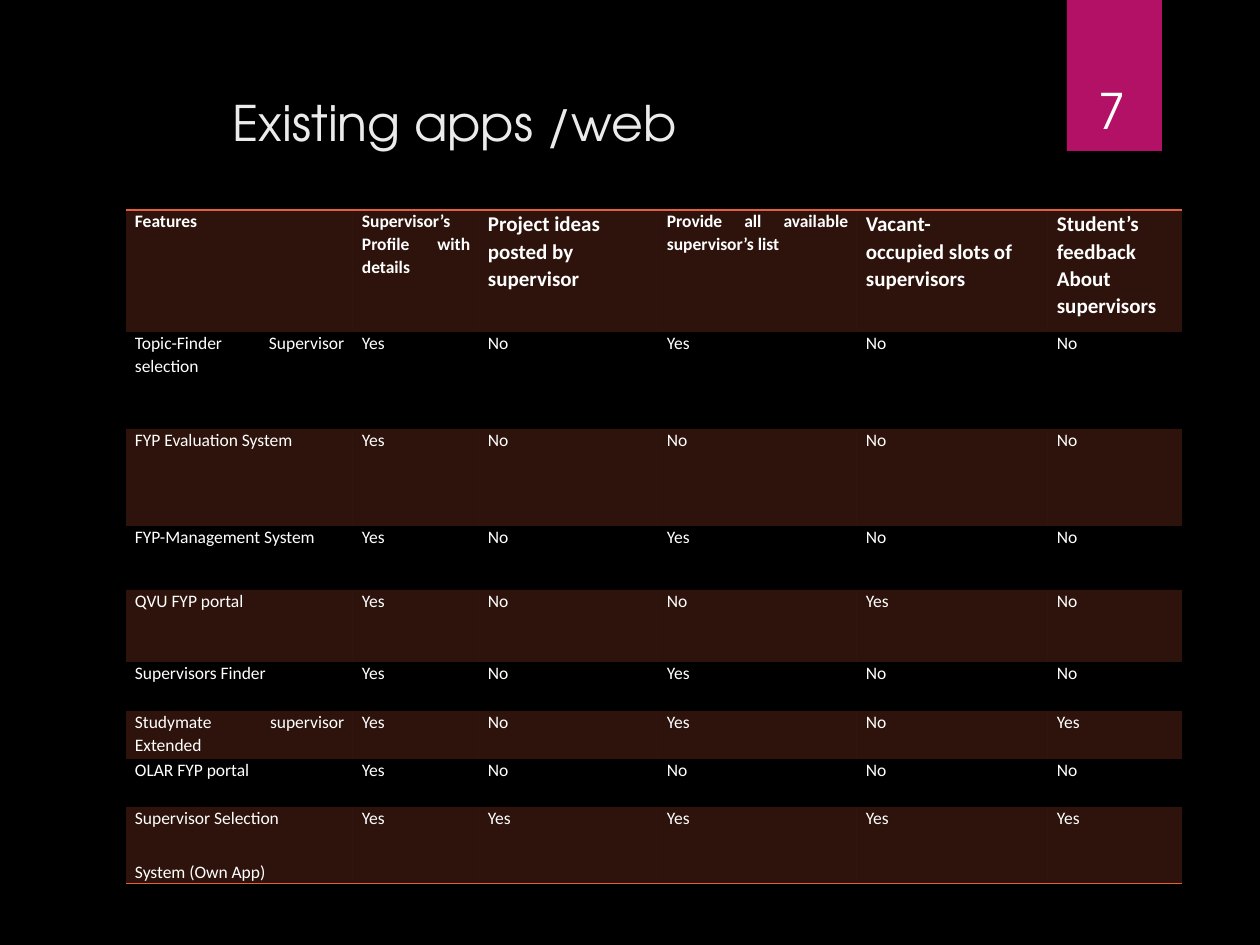
from lxml import etree
from pptx import Presentation
from pptx.dml.color import RGBColor
from pptx.enum.shapes import MSO_SHAPE
from pptx.enum.text import MSO_ANCHOR, PP_ALIGN
from pptx.oxml.ns import qn
from pptx.util import Pt

LEFT, CENTER, JUSTIFY = PP_ALIGN.LEFT, PP_ALIGN.CENTER, PP_ALIGN.JUSTIFY
TOP, BOTTOM = MSO_ANCHOR.TOP, MSO_ANCHOR.BOTTOM
RECTANGLE = MSO_SHAPE.RECTANGLE

BLACK = RGBColor(0x00, 0x00, 0x00)
WHITE = RGBColor(0xFF, 0xFF, 0xFF)
PALE = RGBColor(0xEB, 0xEB, 0xEB)
MAGENTA = RGBColor(0xB3, 0x11, 0x66)
ORANGE = RGBColor(0xE4, 0x5F, 0x3C)

HEADING_FONT = "TeX Gyre Adventor"
BODY_FONT = "Calibri"
NO_GRID_STYLE = "{2D5ABB26-0587-4C30-8999-92F81FD0307C}"
EMU_PER_PX = 914400 / 126

TITLE = "Existing apps /web"
PAGE_NUMBER = "7"
FEATURES = [
    ("Features", "small"),
    ("Supervisor’s Profile with details", "small"),
    ("Project ideas posted by supervisor", "large"),
    ("Provide all available supervisor’s list", "small"),
    ("Vacant-\noccupied slots of supervisors", "large"),
    ("Student’s feedback\nAbout supervisors", "large"),
]
APPS = [
    ("Topic-Finder Supervisor selection", "Yes No Yes No No"),
    ("FYP Evaluation System", "Yes No No No No"),
    ("FYP-Management System", "Yes No Yes No No"),
    ("QVU FYP portal", "Yes No No Yes No"),
    ("Supervisors Finder", "Yes No Yes No No"),
    ("Studymate supervisor Extended", "Yes No Yes No Yes"),
    ("OLAR FYP portal", "Yes No No No No"),
    ("Supervisor Selection\nSystem (Own App)", "Yes Yes Yes Yes Yes"),
]
COLUMN_WIDTHS = [227, 126, 179, 199, 191, 134]
ROW_HEIGHTS = [122, 97, 97, 64, 72, 49, 48, 48, 74]

SPACED = {"alignment": JUSTIFY, "line_spacing": 1.07,
          "space_before": Pt(6), "space_after": Pt(12)}
TIGHT = {"alignment": LEFT, "line_spacing": 1.07,
         "space_before": Pt(0), "space_after": Pt(0)}
BODY = {"name": BODY_FONT, "size": Pt(10), "bold": False}
HEADER_FORMATS = {
    "small": (SPACED, BODY | {"bold": True}),
    "large": (TIGHT, BODY | {"bold": True, "size": Pt(12)}),
}
HEADING = {"name": HEADING_FONT, "size": Pt(28)}


def px(value):
    return round(value * EMU_PER_PX)


def apply(target, values):
    for key, value in values.items():
        setattr(target, key, value)


def write(frame, text, paragraph_format, font_format, color):
    frame.text = text
    for paragraph in frame.paragraphs:
        apply(paragraph, paragraph_format)
        for run in paragraph.runs:
            apply(run.font, font_format)
            run.font.color.rgb = color


def tint(cell):
    cell.fill.solid()
    cell.fill.fore_color.rgb = ORANGE
    color = cell.fill._xPr.find(qn("a:solidFill"))[0]
    etree.SubElement(color, qn("a:alpha"), val="20000")


def rule(cell, edge):
    line = etree.Element(qn(edge), w=str(Pt(1)))
    fill = etree.SubElement(line, qn("a:solidFill"))
    etree.SubElement(fill, qn("a:srgbClr"), val=str(ORANGE))
    cell._tc.get_or_add_tcPr().insert(0, line)


def add_heading(slide):
    title = slide.shapes.title
    apply(title, {"left": px(220), "top": px(86), "width": px(955), "height": px(92)})
    apply(title.text_frame, {"vertical_anchor": TOP, "word_wrap": True})
    write(title.text_frame, TITLE, {"alignment": LEFT}, HEADING, PALE)


def add_page_number(slide):
    flag = slide.shapes.add_shape(RECTANGLE, px(1067), 0, px(95), px(151))
    flag.shadow.inherit = False
    flag.fill.solid()
    flag.fill.fore_color.rgb = MAGENTA
    flag.line.fill.background()
    number = slide.shapes.add_textbox(px(1069), px(40), px(87), px(106)).text_frame
    apply(number, {"vertical_anchor": BOTTOM, "word_wrap": True})
    write(number, PAGE_NUMBER, {"alignment": CENTER}, HEADING, WHITE)


def add_comparison(slide):
    rows = [[(text, *HEADER_FORMATS[kind]) for text, kind in FEATURES]]
    for app, answers in APPS:
        rows.append([(text, SPACED, BODY) for text in [app, *answers.split()]])
    frame = slide.shapes.add_table(
        len(rows), len(FEATURES), px(126), px(210),
        px(sum(COLUMN_WIDTHS)), px(sum(ROW_HEIGHTS)))
    table = frame.table
    apply(table, {"first_row": False, "horz_banding": False})
    table._tbl.tblPr.find(qn("a:tableStyleId")).text = NO_GRID_STYLE
    for column, width in zip(table.columns, COLUMN_WIDTHS):
        column.width = px(width)
    for row, height in zip(table.rows, ROW_HEIGHTS):
        row.height = px(height)

    for r, row in enumerate(rows):
        for c, (text, paragraph_format, font_format) in enumerate(row):
            cell = table.cell(r, c)
            apply(cell, {"margin_left": px(9), "margin_right": px(9),
                         "margin_top": 0, "margin_bottom": 0})
            write(cell.text_frame, text, paragraph_format, font_format, WHITE)
            if r % 2 == 0:
                tint(cell)
            else:
                cell.fill.background()
            if r == 0:
                rule(cell, "a:lnT")
            if r == len(rows) - 1:
                rule(cell, "a:lnB")


def main():
    deck = Presentation()
    apply(deck, {"slide_width": px(1260), "slide_height": px(945)})
    slide = deck.slides.add_slide(deck.slide_layouts[5])
    slide.background.fill.solid()
    slide.background.fill.fore_color.rgb = BLACK
    add_heading(slide)
    add_page_number(slide)
    add_comparison(slide)
    deck.save("out.pptx")


if __name__ == "__main__":
    main()
